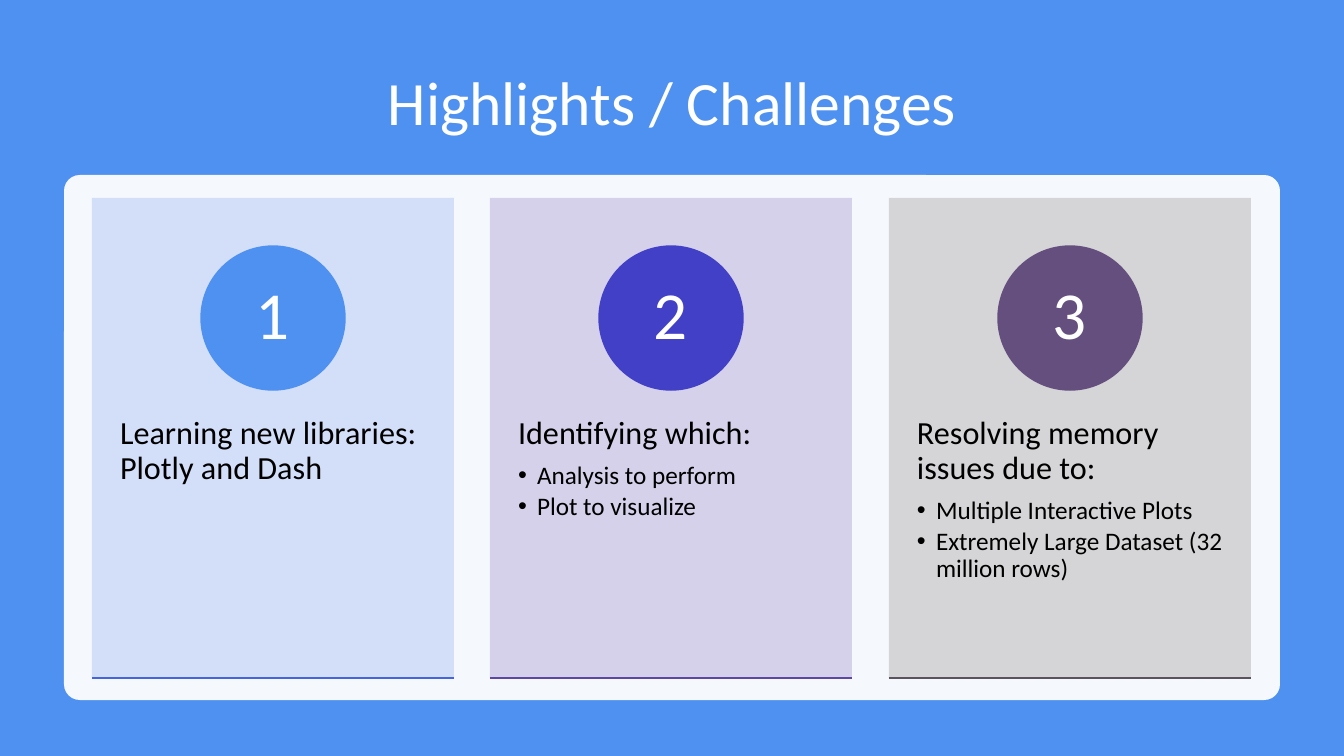
from dataclasses import dataclass

from lxml.etree import SubElement
from pptx import Presentation
from pptx.dml.color import RGBColor
from pptx.enum.shapes import MSO_CONNECTOR as Connector, MSO_SHAPE as Shape
from pptx.enum.text import MSO_ANCHOR as Anchor, MSO_AUTO_SIZE as AutoSize, PP_ALIGN as Align
from pptx.oxml.ns import qn
from pptx.util import Emu, Pt

SLIDE_W, SLIDE_H = 1344, 756
SCALE = 12192000 / SLIDE_W


@dataclass(frozen=True)
class Theme:
    font: str = "Calibri"
    background: str = "4E91F0"
    light: str = "FFFFFF"
    dark: str = "000000"
    title: int = 44
    number: int = 48
    heading: int = 23
    bullet: int = 18
    panel_alpha: int = 95
    card_alpha: int = 90


@dataclass(frozen=True)
class Card:
    fill: str
    circle: str
    rule: str
    heading: str
    bullets: tuple = ()


THEME = Theme()
CARDS = (
    Card("D0DCF9", "4E91F0", "4564DD", "Learning new libraries: Plotly and Dash"),
    Card("D2CDE9", "4240C6", "5C48A2", "Identifying which:",
         ("Analysis to perform", "Plot to visualize")),
    Card("D2D1D2", "644F7F", "5B5260", "Resolving memory issues due to:",
         ("Multiple Interactive Plots", "Extremely Large Dataset (32 million rows)")),
)
CARD_LEFT, CARD_TOP, CARD_W, CARD_H = 92, 198, 362, 480
LAST_CARD_LEFT = 889
CIRCLE_TOP, CIRCLE_SIZE = 246, 144
BODY_TOP, BODY_H = 381, 288
BODY_INSET_X, BODY_INSET_Y = 28, 36
BULLET_INDENT = 19


def px(n):
    return Emu(round(n * SCALE))


def rgb(color):
    return RGBColor.from_string(color)


def place(sp, x, y, w, h):
    sp.left, sp.top, sp.width, sp.height = px(x), px(y), px(w), px(h)


def set_margins(tf, x, y):
    tf.margin_left = tf.margin_right = px(x)
    tf.margin_top = tf.margin_bottom = px(y)


def add_run(p, text, size, color):
    r = p.add_run()
    r.text = text
    r.font.name = THEME.font
    r.font.size = Pt(size)
    r.font.bold = False
    r.font.color.rgb = rgb(color)


def format_paragraph(p, align, after=0):
    p.alignment = align
    p.line_spacing = 0.9
    p.space_before = Pt(0)
    p.space_after = Pt(after)


def set_bullet(p, char=None):
    indent = px(BULLET_INDENT) if char else 0
    props = p._p.get_or_add_pPr()
    props.set("marL", str(indent))
    props.set("indent", str(-indent))
    if char:
        SubElement(props, qn("a:buChar"), char=char)
    else:
        SubElement(props, qn("a:buNone"))


def add_block(s, kind, x, y, w, h, color, alpha=100):
    sp = s.shapes.add_shape(kind, px(x), px(y), px(w), px(h))
    sp.shadow.inherit = False
    sp.fill.solid()
    sp.fill.fore_color.rgb = rgb(color)
    sp.line.fill.background()
    if alpha < 100:
        fill_color = sp._element.spPr.find(qn("a:solidFill"))[0]
        SubElement(fill_color, qn("a:alpha"), val=str(alpha * 1000))
    return sp


def add_rule(s, x, y, w, color):
    rule = s.shapes.add_connector(Connector.STRAIGHT, px(x), px(y), px(x + w), px(y))
    rule.line.color.rgb = rgb(color)
    rule.line.width = Pt(1.5)
    SubElement(rule._element.spPr, qn("a:effectLst"))


def add_number(s, number, x, color):
    sp = add_block(s, Shape.OVAL, x, CIRCLE_TOP, CIRCLE_SIZE, CIRCLE_SIZE, color)
    sp.line.color.rgb = rgb(color)
    sp.line.width = Pt(1)
    tf = sp.text_frame
    tf.vertical_anchor = Anchor.MIDDLE
    set_margins(tf, 0, 0)
    p = tf.paragraphs[0]
    format_paragraph(p, Align.CENTER)
    add_run(p, str(number), THEME.number, THEME.light)


def fill_title(title, text):
    place(title, 93, 50, 1159, 111)
    tf = title.text_frame
    tf.auto_size = AutoSize.NONE
    tf.vertical_anchor = Anchor.MIDDLE
    p = tf.paragraphs[0]
    format_paragraph(p, Align.CENTER)
    add_run(p, text, THEME.title, THEME.light)


def fill_body(body, x, card):
    place(body, x, BODY_TOP, CARD_W, BODY_H)
    tf = body.text_frame
    tf.word_wrap = True
    tf.auto_size = AutoSize.NONE
    tf.vertical_anchor = Anchor.TOP
    set_margins(tf, BODY_INSET_X, BODY_INSET_Y)
    p = tf.paragraphs[0]
    format_paragraph(p, Align.LEFT, 8)
    set_bullet(p)
    add_run(p, card.heading, THEME.heading, THEME.dark)
    for text in card.bullets:
        p = tf.add_paragraph()
        p.level = 1
        format_paragraph(p, Align.LEFT, 2.5)
        set_bullet(p, "•")
        add_run(p, text, THEME.bullet, THEME.dark)


def add_card(s, body, number, x, card):
    base = add_block(s, Shape.RECTANGLE, x, CARD_TOP, CARD_W, CARD_H, card.fill, THEME.card_alpha)
    fill_body(body, x, card)
    base._element.addnext(body._element)
    add_number(s, number, x + (CARD_W - CIRCLE_SIZE) // 2, card.circle)
    add_rule(s, x, CARD_TOP + CARD_H, CARD_W, card.rule)


def main():
    prs = Presentation()
    prs.slide_width, prs.slide_height = px(SLIDE_W), px(SLIDE_H)
    s = prs.slides.add_slide(prs.slide_layouts.get_by_name("Comparison"))
    s.background.fill.solid()
    s.background.fill.fore_color.rgb = rgb(THEME.background)
    title, *bodies = s.placeholders
    fill_title(title, "Highlights / Challenges")
    panel = add_block(s, Shape.ROUNDED_RECTANGLE, 64, 175, 1216, 525, THEME.light, THEME.panel_alpha)
    panel.adjustments[0] = 0.03
    for i, card in enumerate(CARDS):
        x = CARD_LEFT + (LAST_CARD_LEFT - CARD_LEFT) * i // (len(CARDS) - 1)
        add_card(s, bodies[i], i + 1, x, card)
    for unused in bodies[len(CARDS):]:
        unused._element.getparent().remove(unused._element)
    prs.save("out.pptx")


if __name__ == "__main__":
    main()
